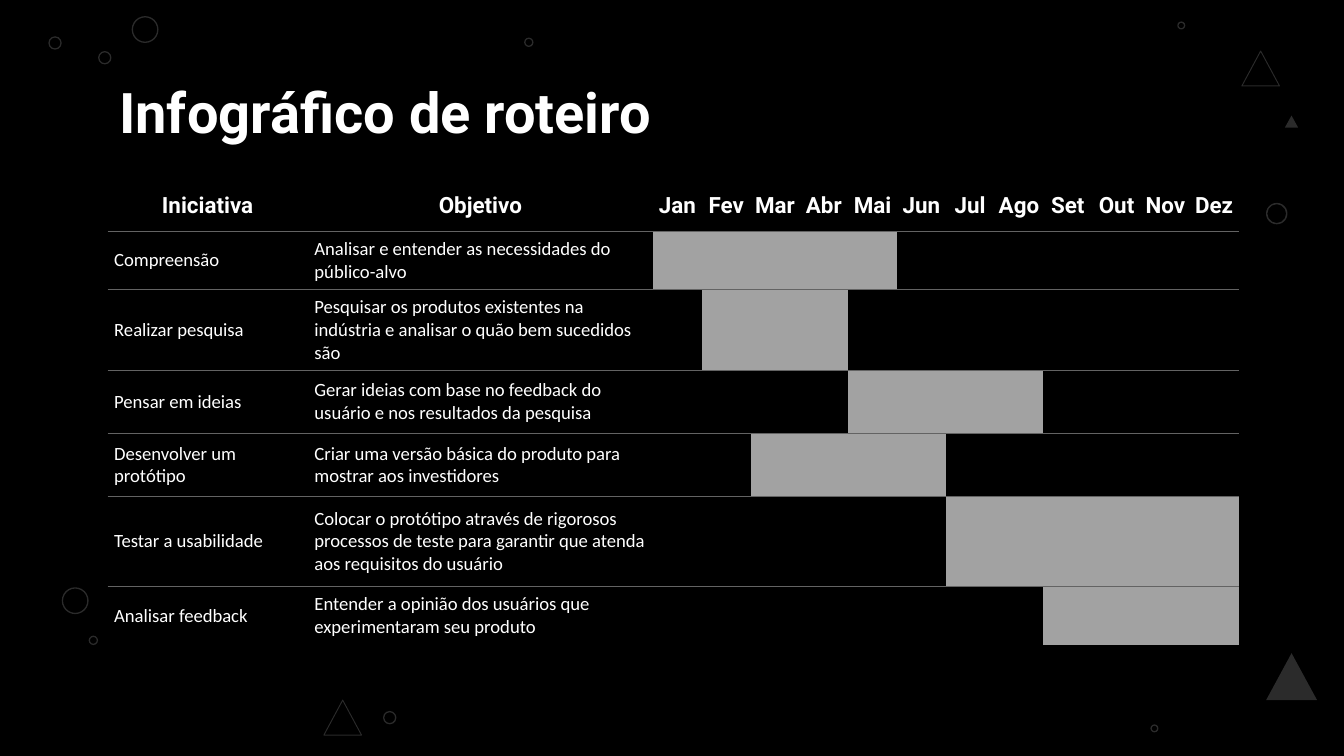
from lxml.etree import SubElement
from pptx import Presentation
from pptx.dml.color import RGBColor
from pptx.enum.shapes import MSO_SHAPE
from pptx.enum.text import MSO_ANCHOR, PP_ALIGN
from pptx.oxml.ns import qn
from pptx.util import Inches, Pt

WHITE, GRAY, BAR, BLACK = "FFFFFF", "636363", "A2A2A2", "000000"
FAINT = 17  # opacity of the decorations, in percent
NO_TABLE_STYLE = "{2D5ABB26-0587-4C30-8999-92F81FD0307C}"

# left, top, diameter
RINGS = [
    (9.42, 1.51, 0.16), (8.76, 0.16, 0.06), (0.36, 0.27, 0.1), (0.98, 0.12, 0.2),
    (8.56, 5.39, 0.06), (3.9, 0.28, 0.07), (0.73, 0.38, 0.1), (0.66, 4.73, 0.07),
    (0.46, 4.37, 0.2), (2.85, 5.29, 0.1),
]
# left, top, width, height
OUTLINED_TRIANGLES = [(9.24, 0.38, 0.28, 0.26), (2.41, 5.21, 0.28, 0.26)]
SOLID_TRIANGLES = [(9.56, 0.86, 0.1, 0.09), (9.42, 4.86, 0.38, 0.35)]

MONTHS = "Jan Fev Mar Abr Mai Jun Jul Ago Set Out Nov Dez".split()
# initiative, goal, first month, last month, row height
INITIATIVES = [
    ("Compreensão", "Analisar e entender as necessidades do público-alvo", "Jan", "Mai", 0.39),
    ("Realizar pesquisa",
     "Pesquisar os produtos existentes na indústria e analisar o quão bem sucedidos são",
     "Fev", "Abr", 0.52),
    ("Pensar em ideias",
     "Gerar ideias com base no feedback do usuário e nos resultados da pesquisa",
     "Mai", "Ago", 0.47),
    ("Desenvolver um protótipo",
     "Criar uma versão básica do produto para mostrar aos investidores", "Mar", "Jun", 0.47),
    ("Testar a usabilidade",
     "Colocar o protótipo através de rigorosos processos de teste para garantir que "
     "atenda aos requisitos do usuário", "Jul", "Dez", 0.67),
    ("Analisar feedback", "Entender a opinião dos usuários que experimentaram seu produto",
     "Set", "Dez", 0.39),
]
HEADER_HEIGHT = 0.38
TEXT_WIDTHS = [1.49, 2.57]

TITLE_FONT = {"name": "Roboto", "size": Pt(30), "bold": True}
HEADER_FONT = {"name": "Roboto", "size": Pt(12), "bold": True}
BODY_FONT = {"name": "Calibri", "size": Pt(10), "bold": False}


def color(value):
    return RGBColor.from_string(value)


def paint(fill, value, opacity=100):
    fill.solid()
    fill.fore_color.rgb = color(value)
    if opacity < 100:
        for tint in fill._xPr.iter(qn("a:srgbClr")):
            SubElement(tint, qn("a:alpha"), val=str(opacity * 1000))


def write(frame, text, font):
    span = frame.paragraphs[0].add_run()
    span.text = text
    for name, value in font.items():
        setattr(span.font, name, value)
    span.font.color.rgb = color(WHITE)


def add_decoration(page, kind, left, top, width, height):
    shape = page.shapes.add_shape(
        kind, Inches(left), Inches(top), Inches(width), Inches(height))
    shape.shadow.inherit = False
    return shape


def draw_decorations(page):
    for left, top, size in RINGS:
        ring = add_decoration(page, MSO_SHAPE.DONUT, left, top, size, size)
        ring.adjustments[0] = 0.01 / size
        paint(ring.fill, WHITE, FAINT)
        ring.line.fill.background()
    for box in OUTLINED_TRIANGLES:
        triangle = add_decoration(page, MSO_SHAPE.ISOSCELES_TRIANGLE, *box)
        triangle.fill.background()
        triangle.line.width = Pt(0.5)
        paint(triangle.line.fill, WHITE, FAINT)
    for box in SOLID_TRIANGLES:
        triangle = add_decoration(page, MSO_SHAPE.ISOSCELES_TRIANGLE, *box)
        paint(triangle.fill, WHITE, FAINT)
        triangle.line.fill.background()


def draw_title(page, left, top, width, height):
    box = page.shapes.add_textbox(Inches(left), Inches(top), Inches(width), Inches(height))
    frame = box.text_frame
    frame.word_wrap = True
    for side in ("left", "top", "right", "bottom"):
        setattr(frame, f"margin_{side}", Inches(0.1))
    write(frame, "Infográfico de roteiro", TITLE_FONT)


def add_border(cell, side):
    line = SubElement(cell._tc.get_or_add_tcPr(), qn(f"a:ln{side}"), w=str(Pt(0.75)))
    fill = SubElement(line, qn("a:solidFill"))
    SubElement(fill, qn("a:srgbClr"), val=GRAY)


def fill_text_cell(cell, text, font, margin, align):
    for side in ("left", "top", "right", "bottom"):
        setattr(cell, f"margin_{side}", Inches(margin))
    cell.vertical_anchor = MSO_ANCHOR.MIDDLE
    cell.text_frame.paragraphs[0].alignment = align
    write(cell.text_frame, text, font)


def draw_roadmap(page, left, top, width):
    heights = [HEADER_HEIGHT] + [item[-1] for item in INITIATIVES]
    month_width = (width - sum(TEXT_WIDTHS)) / len(MONTHS)
    widths = TEXT_WIDTHS + [month_width] * len(MONTHS)
    frame = page.shapes.add_table(
        len(heights), len(widths), Inches(left), Inches(top),
        Inches(width), Inches(sum(heights)))
    table = frame.table
    table.first_row = table.horz_banding = False
    table._tbl.tblPr.find(qn("a:tableStyleId")).text = NO_TABLE_STYLE
    for column, column_width in zip(table.columns, widths):
        column.width = Inches(column_width)
    for row, height in zip(table.rows, heights):
        row.height = Inches(height)

    last_row = len(heights) - 1
    for index, row in enumerate(table.rows):
        for cell in row.cells:
            if index > 0:
                add_border(cell, "T")
            if index < last_row:
                add_border(cell, "B")
            cell.fill.background()

    for column, text in enumerate(["Iniciativa", "Objetivo"] + MONTHS):
        fill_text_cell(table.cell(0, column), text, HEADER_FONT, 0, PP_ALIGN.CENTER)
    for row, (name, goal, first, last, _) in enumerate(INITIATIVES, start=1):
        for column, text in enumerate((name, goal)):
            fill_text_cell(table.cell(row, column), text, BODY_FONT, 0.05, PP_ALIGN.LEFT)
        for month in range(MONTHS.index(first), MONTHS.index(last) + 1):
            paint(table.cell(row, len(TEXT_WIDTHS) + month).fill, BAR)


def main():
    deck = Presentation()
    deck.slide_width = Inches(10)
    deck.slide_height = deck.slide_width * 9 // 16
    page = deck.slides.add_slide(deck.slide_layouts[6])
    paint(page.background.fill, BLACK)
    draw_decorations(page)
    draw_title(page, 0.79, 0.48, 8.43, 0.63)
    draw_roadmap(page, 0.8, 1.34, 8.42)
    deck.save("out.pptx")


if __name__ == "__main__":
    main()
